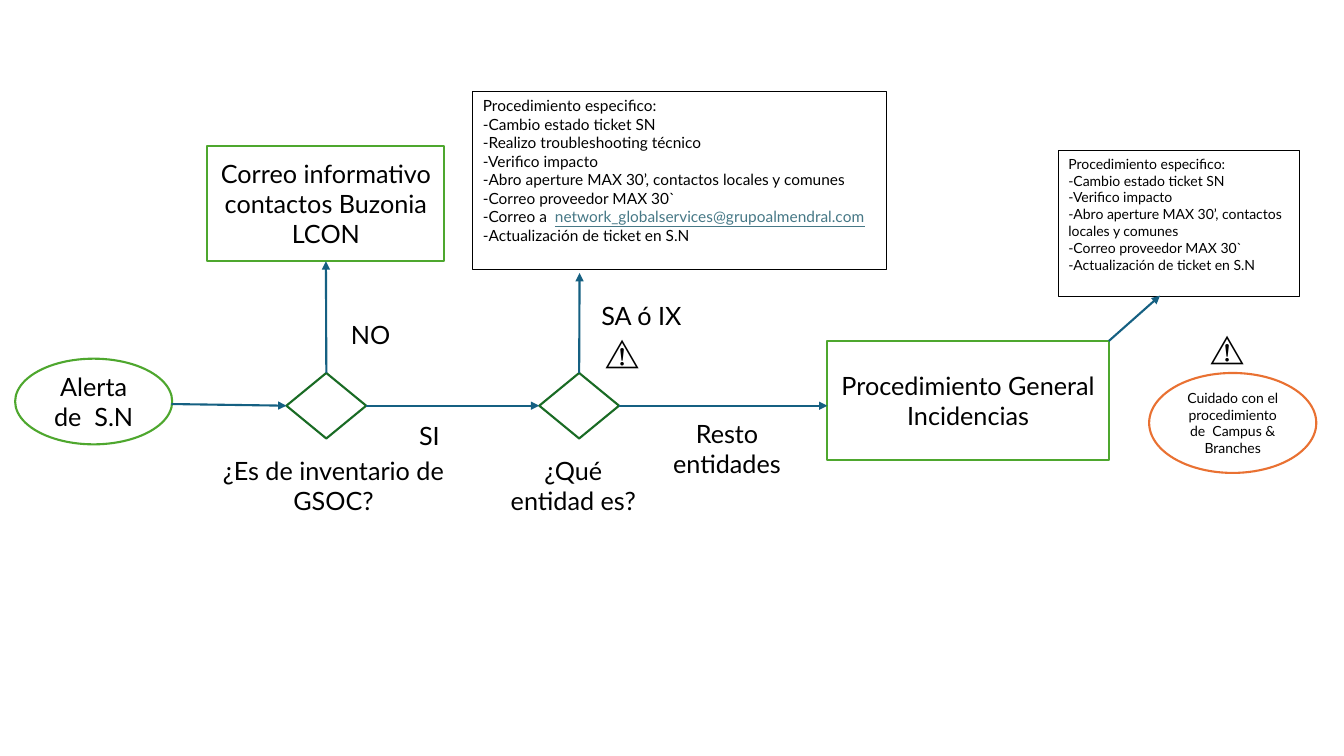
import pptx
import pptx.util
import pptx.dml.color
import pptx.enum.shapes
import pptx.enum.text
import pptx.oxml
import pptx.oxml.ns

RGBColor = pptx.dml.color.RGBColor
SHAPE = pptx.enum.shapes.MSO_SHAPE
ALIGN = pptx.enum.text.PP_ALIGN
ANCHOR = pptx.enum.text.MSO_ANCHOR

BLACK = RGBColor(0x00, 0x00, 0x00)
WHITE = RGBColor(0xFF, 0xFF, 0xFF)
GREEN = RGBColor(0x4E, 0xA7, 0x2E)
DARK_GREEN = RGBColor(0x19, 0x6B, 0x24)
BLUE = RGBColor(0x15, 0x60, 0x82)
ORANGE = RGBColor(0xE9, 0x71, 0x32)
LINK_COLOR = RGBColor(0x46, 0x78, 0x86)

FONT = "Lato"
WIDTH, HEIGHT = pptx.util.Inches(13.33), pptx.util.Inches(7.5)
COLUMNS, ROWS = 16, 9
TOP, LEFT, RIGHT = 0, 1, 3

# Rows shared by the elements of the flow
FLOW_ROW = 4.83
QUESTION_ROW = 5.36

ADDRESS = "network_globalservices@grupoalmendral.com"
SPECIFIC_STEPS = [
    "Procedimiento especifico:",
    "-Cambio estado ticket SN",
    "-Realizo troubleshooting técnico",
    "-Verifico impacto",
    "-Abro aperture MAX 30’, contactos locales y comunes",
    "-Correo proveedor MAX 30`",
    "-Correo a  " + ADDRESS,
    "-Actualización de ticket en S.N",
]
GENERAL_STEPS = [step for step in SPECIFIC_STEPS
                 if "troubleshooting" not in step and ADDRESS not in step]


def point(column, row):
    """Turn grid columns and rows into slide lengths."""
    return round(WIDTH * column / COLUMNS), round(HEIGHT * row / ROWS)


def add_run(paragraph, text, size, color=BLACK, underline=None):
    run = paragraph.add_run()
    run.text = text
    run.font.name = FONT
    run.font.size = pptx.util.Pt(size)
    run.font.color.rgb = color
    run.font.underline = underline


def write(shape, lines, size, align, anchor):
    frame = shape.text_frame
    frame.word_wrap = True
    frame.vertical_anchor = anchor
    for index, line in enumerate(lines):
        paragraph = frame.paragraphs[0] if index == 0 else frame.add_paragraph()
        paragraph.alignment = align
        before, address, after = line.partition(ADDRESS)
        add_run(paragraph, before, size)
        if address:
            add_run(paragraph, address, size, LINK_COLOR, True)
        if after:
            add_run(paragraph, after, size)


def add_box(slide, kind, column, row, columns, rows, color, weight=1.5):
    shape = slide.shapes.add_shape(kind, *point(column, row), *point(columns, rows))
    shape.shadow.inherit = False
    shape.fill.solid()
    shape.fill.fore_color.rgb = WHITE
    shape.line.color.rgb = color
    shape.line.width = pptx.util.Pt(weight)
    return shape


def add_step(slide, kind, column, row, columns, rows, color, text, size=18):
    shape = add_box(slide, kind, column, row, columns, rows, color)
    write(shape, [text], size, ALIGN.CENTER, ANCHOR.MIDDLE)


def add_steps_list(slide, column, row, columns, rows, lines, size, weight):
    shape = add_box(slide, SHAPE.RECTANGLE, column, row, columns, rows, BLACK, weight)
    shape.fill.background()
    write(shape, lines, size, ALIGN.LEFT, ANCHOR.TOP)


def add_decision(slide, column):
    return add_box(slide, SHAPE.FLOWCHART_DECISION, column, FLOW_ROW - 0.39,
                   0.95, 0.78, DARK_GREEN)


def add_label(slide, column, row, columns, rows, text, align=ALIGN.LEFT, size=18):
    box = slide.shapes.add_textbox(*point(column, row), *point(columns, rows))
    write(box, [text], size, align, ANCHOR.TOP)


def add_arrow(slide, start, end, begin_at=None, end_at=None):
    """Draw an arrow; begin_at and end_at are (shape, side) pairs."""
    arrow = slide.shapes.add_connector(
        pptx.enum.shapes.MSO_CONNECTOR.STRAIGHT, *point(*start), *point(*end))
    if begin_at:
        arrow.begin_connect(*begin_at)
    if end_at:
        arrow.end_connect(*end_at)
    arrow.line.color.rgb = BLUE
    arrow.line.width = pptx.util.Pt(1.5)
    properties = arrow._element.spPr
    head = pptx.oxml.ns.qn("a:tailEnd")
    properties.find(pptx.oxml.ns.qn("a:ln")).makeelement(head)
    line = arrow.line._get_or_add_ln()
    line.append(line.makeelement(head, {"type": "triangle"}))
    properties.append(properties.makeelement(pptx.oxml.ns.qn("a:effectLst")))


def main():
    presentation = pptx.Presentation()
    presentation.slide_width, presentation.slide_height = WIDTH, HEIGHT
    slide = presentation.slides.add_slide(presentation.slide_layouts[6])

    # Steps of the flow
    add_step(slide, SHAPE.OVAL, 0.18, 4.27, 1.87, 1.02, GREEN, "Alerta de  S.N")
    inventory = add_decision(slide, 3.41)
    entity = add_decision(slide, 6.42)
    add_step(slide, SHAPE.RECTANGLE, 2.47, 1.74, 2.82, 1.37, GREEN,
             "Correo informativo contactos Buzonia LCON")
    add_step(slide, SHAPE.RECTANGLE, 9.85, 4.06, 3.35, 1.42, GREEN,
             "Procedimiento General Incidencias")
    add_step(slide, SHAPE.OVAL, 13.68, 4.44, 1.99, 1.19, ORANGE,
             "Cuidado con el procedimiento de  Campus & Branches", 10)

    # Detailed procedures
    add_steps_list(slide, 5.63, 1.09, 4.92, 2.12, SPECIFIC_STEPS, 11, 0.75)
    add_steps_list(slide, 12.6, 1.79, 2.87, 1.74, GENERAL_STEPS, 10, 1)

    # Arrows
    add_arrow(slide, (2.04, 4.81), (3.41, FLOW_ROW), end_at=(inventory, LEFT))
    add_arrow(slide, (3.88, 4.44), (3.88, 3.11), begin_at=(inventory, TOP))
    add_arrow(slide, (4.36, FLOW_ROW), (6.42, FLOW_ROW),
              (inventory, RIGHT), (entity, LEFT))
    add_arrow(slide, (6.9, 4.44), (6.9, 3.25), begin_at=(entity, TOP))
    add_arrow(slide, (7.37, FLOW_ROW), (9.85, FLOW_ROW), begin_at=(entity, RIGHT))
    add_arrow(slide, (13.2, 4.06), (13.81, 3.52))

    # Questions and answers
    add_label(slide, 2.4, QUESTION_ROW, 3.14, 0.85,
              "¿Es de inventario de GSOC?", ALIGN.CENTER)
    add_label(slide, 5.86, QUESTION_ROW, 1.93, 0.85, "¿Qué entidad es?", ALIGN.CENTER)
    add_label(slide, 7.69, 4.92, 1.93, 0.85, "Resto entidades", ALIGN.CENTER)
    add_label(slide, 4.06, 3.74, 1.52, 0.48, "NO")
    add_label(slide, 4.87, 4.94, 1.52, 0.48, "SI")
    add_label(slide, 7.04, 3.52, 1.48, 0.48, "SA ó IX")

    # Warning signs
    for column, row in ((7.09, 3.89), (14.29, 3.85)):
        add_label(slide, column, row, 1.04, 0.6, "⚠️", size=24)

    presentation.save("out.pptx")


if __name__ == "__main__":
    main()
